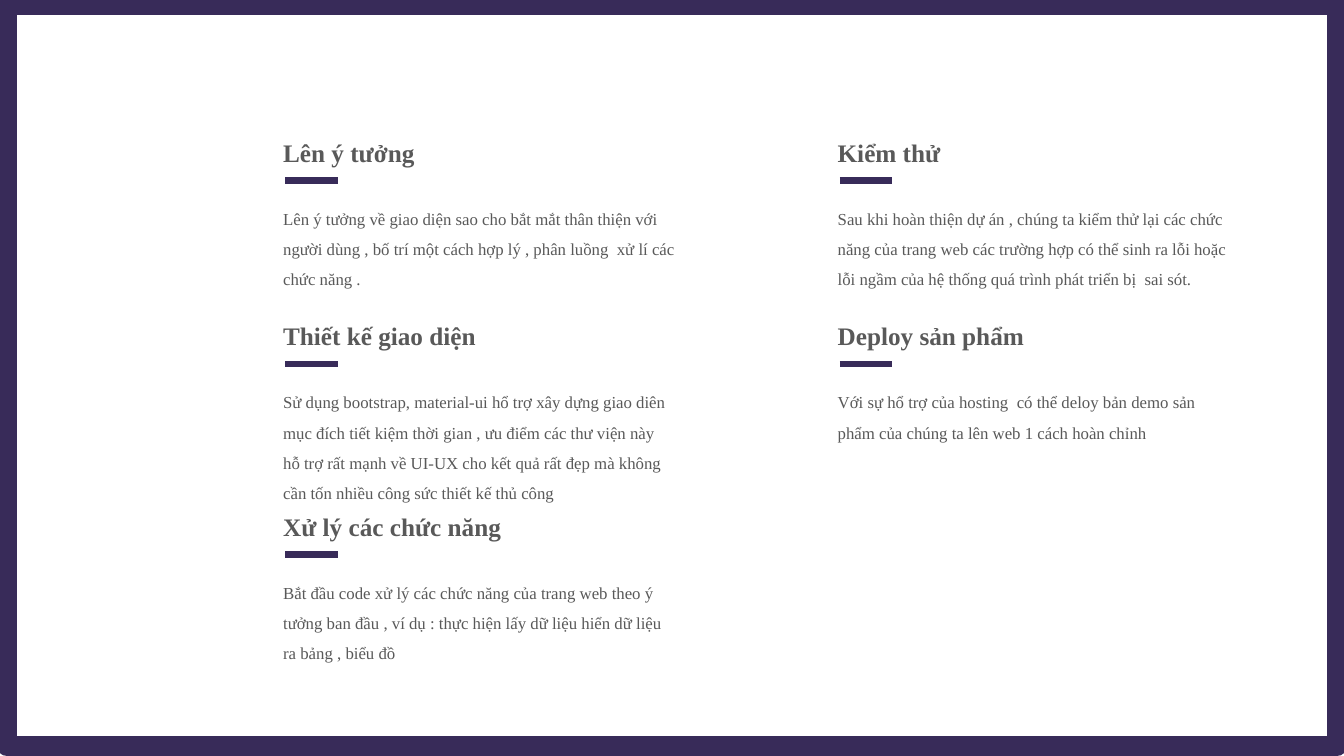
from pptx import Presentation
from pptx.dml.color import RGBColor
from pptx.enum.shapes import MSO_CONNECTOR as Connector, MSO_SHAPE as Shape
from pptx.enum.text import MSO_ANCHOR as Anchor, MSO_AUTO_SIZE as AutoSize
from pptx.util import Inches, Pt
from lxml.etree import SubElement
from pptx.oxml.ns import qn

PURPLE = RGBColor(0x38, 0x2B, 0x59)
GRAY = RGBColor(0x59, 0x59, 0x59)

COLUMNS = (2.71, 8.21)
ROWS = (1.31, 3.13, 5.02)
STEPS = [
    (0, 0, "Lên ý tưởng", 3,
     "Lên ý tưởng về giao diện sao cho bắt mắt thân thiện với người dùng , "
     "bố trí một cách hợp lý , phân luồng  xử lí các chức năng ."),
    (0, 1, "Thiết kế giao diện", 4,
     "Sử dụng bootstrap, material-ui hổ trợ xây dựng giao diên mục đích tiết kiệm "
     "thời gian , ưu điểm các thư viện này hỗ trợ rất mạnh về UI-UX cho kết quả "
     "rất đẹp mà không cần tốn nhiều công sức thiết kế thủ công"),
    (0, 2, "Xử lý các chức năng", 3,
     "Bắt đầu code xử lý các chức năng của trang web theo ý tưởng ban đầu , "
     "ví dụ : thực hiện lấy dữ liệu hiển dữ liệu ra bảng , biểu đồ"),
    (1, 0, "Kiểm thử", 3,
     "Sau khi hoàn thiện dự án , chúng ta kiểm thử lại các chức năng của trang web "
     "các trường hợp có thể sinh ra lỗi hoặc lỗi ngầm của hệ thống quá trình "
     "phát triển bị  sai sót."),
    (1, 1, "Deploy sản phẩm", 2,
     "Với sự hổ trợ của hosting  có thể deloy bản demo sản phẩm của chúng ta "
     "lên web 1 cách hoàn chỉnh"),
]


class StepSlide:
    heading = {"size": Pt(18), "bold": True, "name": "Times New Roman"}
    body = {"size": Pt(12), "bold": False, "name": "Times New Roman"}

    def __init__(self, page):
        self.page = page

    def frame(self, left, top, width, height):
        border = self.page.shapes.add_shape(
            Shape.RECTANGLE, *map(Inches, (left, top, width, height)))
        border.shadow.inherit = False
        border.fill.background()
        border.line.color.rgb = PURPLE
        border.line.width = Pt(14.75)

    def text(self, content, left, top, width, height, style, anchor, spacing):
        box = self.page.shapes.add_textbox(*map(Inches, (left, top, width, height)))
        layout = {"word_wrap": True, "auto_size": AutoSize.SHAPE_TO_FIT_TEXT,
                  "vertical_anchor": anchor}
        for name, value in layout.items():
            setattr(box.text_frame, name, value)
        para = box.text_frame.paragraphs[0]
        para.line_spacing = spacing
        span = para.add_run()
        span.text = content
        for name, value in style.items():
            setattr(span.font, name, value)
        span.font.color.rgb = GRAY

    def rule(self, left, top, length):
        line = self.page.shapes.add_connector(
            Connector.STRAIGHT, *map(Inches, (left, top, left + length, top)))
        line.line.color.rgb = PURPLE
        line.line.width = Pt(4.5)
        SubElement(line._element.spPr, qn("a:effectLst"))

    def step(self, left, top, title, line_count, description):
        self.text(description, left, top + 0.61, 4.09, 0.11 + 0.3 * line_count,
                  self.body, Anchor.TOP, 1.5)
        self.text(title, left, top, 3.18, 0.4, self.heading, Anchor.MIDDLE, 1.0)
        self.rule(left + 0.12, top + 0.48, 0.52)


def main():
    deck = Presentation()
    deck.slide_width, deck.slide_height = Inches(13.33), Inches(7.5)
    slide = StepSlide(deck.slides.add_slide(deck.slide_layouts[6]))
    slide.frame(0.07, 0.05, 13.19, 7.35)
    for column, row, title, line_count, description in STEPS:
        slide.step(COLUMNS[column], ROWS[row], title, line_count, description)
    deck.save("out.pptx")


if __name__ == "__main__":
    main()
